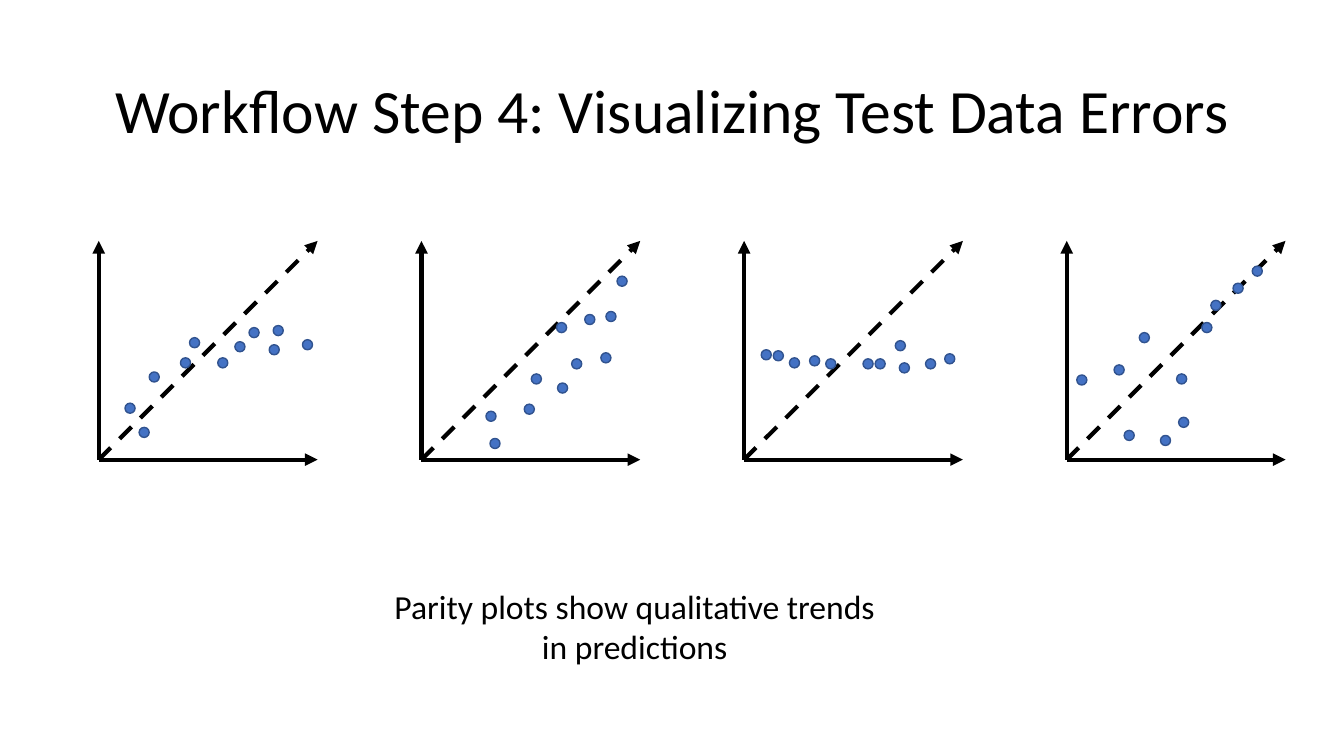
from lxml import etree
from pptx import Presentation
from pptx.dml.color import RGBColor
from pptx.enum.dml import MSO_LINE
from pptx.enum.shapes import MSO_CONNECTOR, MSO_SHAPE
from pptx.enum.text import MSO_ANCHOR, MSO_AUTO_SIZE, PP_ALIGN
from pptx.oxml.ns import qn
from pptx.util import Inches, Pt

STRAIGHT = MSO_CONNECTOR.STRAIGHT
OVAL = MSO_SHAPE.OVAL
DASH = MSO_LINE.DASH
MIDDLE, TOP = MSO_ANCHOR.MIDDLE, MSO_ANCHOR.TOP
CENTER = PP_ALIGN.CENTER
GROW, FIXED = MSO_AUTO_SIZE.SHAPE_TO_FIT_TEXT, MSO_AUTO_SIZE.NONE

COLORS = {"ink": "000000", "dot": "4472C4", "dot_edge": "31538F"}
FONT = "Calibri"
SLIDE_WIDTH, SLIDE_HEIGHT = 13.33, 7.5

FIRST_ORIGIN_X, ORIGIN_Y = 0.98, 4.56
PLOT_PITCH = 3.2
AXIS_LENGTH = 2.17
DOT_SIZE = 0.1

PLOTS = [
    [(0.31, 0.51), (0.86, 0.96), (0.45, 0.27), (0.95, 1.16), (0.55, 0.82), (1.23, 0.96),
     (1.54, 1.26), (2.07, 1.14), (1.78, 1.28), (1.74, 1.09), (1.40, 1.12)],
    [(1.40, 0.71), (1.07, 0.50), (0.73, 0.16), (1.14, 0.80), (0.69, 0.43), (1.54, 0.95),
     (1.88, 1.42), (1.99, 1.77), (1.67, 1.39), (1.83, 1.01), (1.39, 1.31)],
    [(0.22, 1.04), (0.86, 0.95), (0.34, 1.03), (0.70, 0.98), (0.50, 0.96), (1.23, 0.95),
     (2.04, 1.00), (1.85, 0.95), (1.55, 1.13), (1.59, 0.91), (1.35, 0.95)],
    [(1.16, 0.37), (0.98, 0.19), (0.62, 0.24), (1.14, 0.80), (0.15, 0.79), (1.48, 1.53),
     (1.70, 1.70), (1.89, 1.87), (0.52, 0.89), (0.77, 1.21), (1.39, 1.31)],
]


def color(name):
    """Return a named colour."""
    return RGBColor.from_string(COLORS[name])


def set_all(target, values):
    """Set each attribute of the target from a dict."""
    for name, value in values.items():
        setattr(target, name, value)


def add_text(page, words, area, size, frame_format, spacing=1.0):
    """Add a centred text box whose area is left, top, width, height."""
    box = page.shapes.add_textbox(*map(Inches, area))
    frame = box.text_frame
    set_all(frame, {"word_wrap": True, **frame_format})
    para = frame.paragraphs[0]
    set_all(para, {"alignment": CENTER, "line_spacing": spacing})
    span = para.add_run()
    span.text = words
    set_all(span.font, {"name": FONT, "size": Pt(size)})
    span.font.color.rgb = color("ink")


def add_arrow(group, start, end, dash=None):
    """Add a thick arrow between two points in inches."""
    arrow = group.shapes.add_connector(STRAIGHT, *map(Inches, start + end))
    arrow.line.color.rgb = color("ink")
    set_all(arrow.line, {"width": Pt(3), "dash_style": dash})
    properties = arrow.line._get_or_add_ln()
    etree.SubElement(properties, qn("a:tailEnd"), type="triangle")
    etree.SubElement(arrow._element.spPr, qn("a:effectLst"))


def add_dot(group, center_x, center_y):
    """Add one data point around its centre."""
    corner = (center_x - DOT_SIZE / 2, center_y - DOT_SIZE / 2)
    dot = group.shapes.add_shape(OVAL, *map(Inches, corner + (DOT_SIZE, DOT_SIZE)))
    dot.shadow.inherit = False
    dot.fill.solid()
    dot.fill.fore_color.rgb = color("dot")
    dot.line.color.rgb = color("dot_edge")
    dot.line.width = Pt(1)


def add_parity_plot(page, column, points):
    """Add axes, parity line and points in one column of the grid."""
    group = page.shapes.add_group_shape()
    left, base = FIRST_ORIGIN_X + column * PLOT_PITCH, ORIGIN_Y
    right, top = left + AXIS_LENGTH, base - AXIS_LENGTH
    add_arrow(group, (left, base), (right, top), DASH)
    add_arrow(group, (left, base), (right, base))
    add_arrow(group, (left, base), (left, top))
    for across, up in points:
        add_dot(group, left + across, base - up)


def main():
    """Build and save the slide."""
    deck = Presentation()
    set_all(deck, {"slide_width": Inches(SLIDE_WIDTH), "slide_height": Inches(SLIDE_HEIGHT)})
    page = deck.slides.add_slide(deck.slide_layouts[6])
    add_text(page, "Workflow Step 4: Visualizing Test Data Errors", (0.92, 0.4, 11.5, 1.45),
             44, {"vertical_anchor": MIDDLE, "auto_size": FIXED}, 0.9)
    for column, points in enumerate(PLOTS):
        add_parity_plot(page, column, points)
    add_text(page, "Parity plots show qualitative trends in predictions", (3.71, 5.76, 5.17, 0.91),
             24, {"vertical_anchor": TOP, "auto_size": GROW})
    deck.save("out.pptx")


if __name__ == "__main__":
    main()
